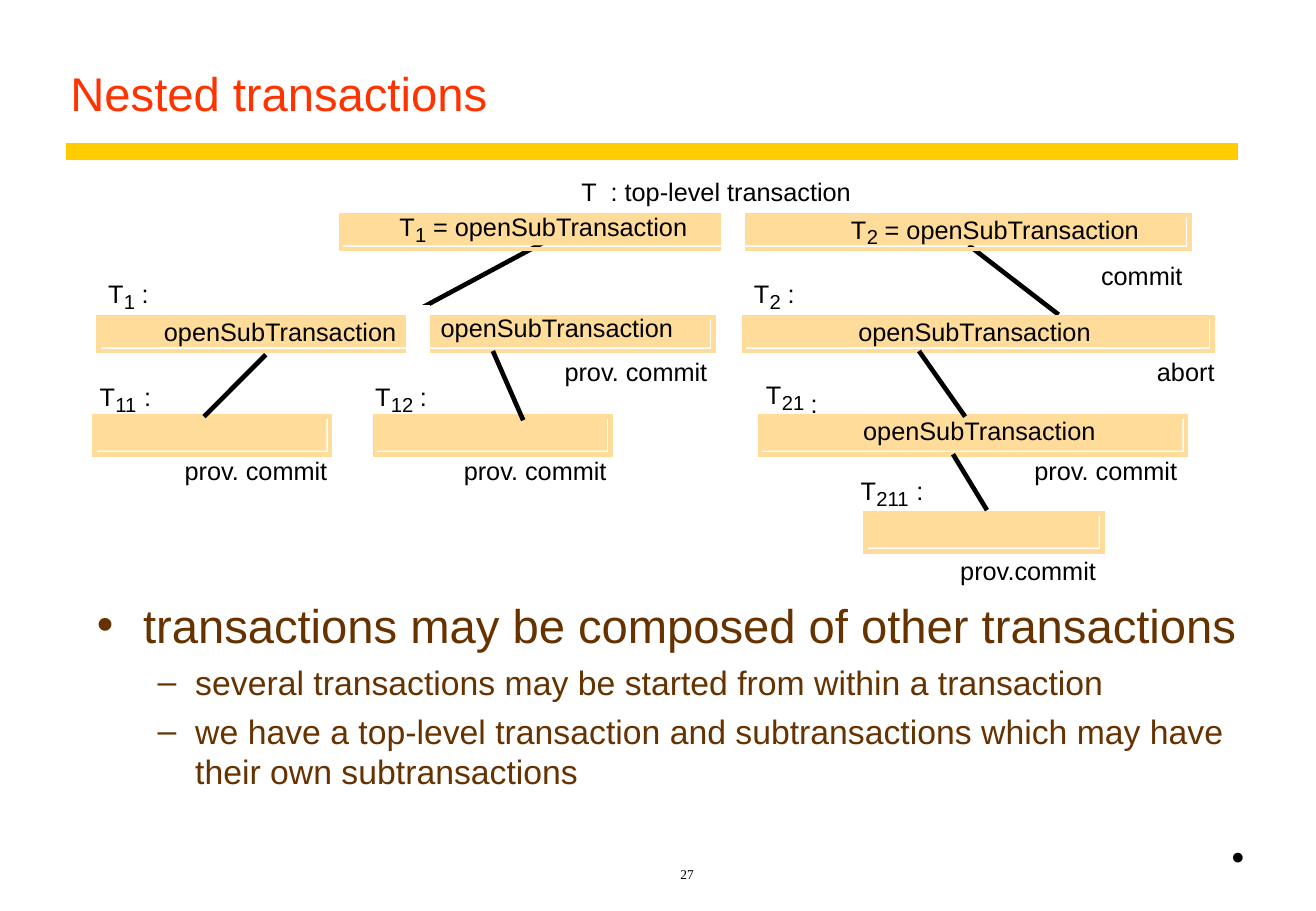
from lxml.etree import SubElement
from pptx import Presentation
from pptx.dml.color import RGBColor
from pptx.enum.shapes import MSO_CONNECTOR as Connector, MSO_SHAPE as Shape
from pptx.enum.text import MSO_ANCHOR as Anchor, MSO_AUTO_SIZE as AutoSize, PP_ALIGN as Align
from pptx.oxml.ns import qn
from pptx.util import Inches, Pt

RED = RGBColor(0xFF, 0x33, 0x00)
GOLD = RGBColor(0xFF, 0xCC, 0x00)
SAND = RGBColor(0xFF, 0xDC, 0x99)
BROWN = RGBColor(0x66, 0x33, 0x00)
BLACK = RGBColor(0x00, 0x00, 0x00)
WHITE = RGBColor(0xFF, 0xFF, 0xFF)

TITLE = "Nested transactions"
BULLETS = [
    (0, "transactions may be composed of other transactions"),
    (1, "several transactions may be started from within a transaction"),
    (1, "we have a top-level transaction and subtransactions which may have their own subtransactions"),
]
BULLET_STYLES = [("•", 0.38, 0.38, 28, 0), ("–", 0.81, 0.31, 20, 5)]

BARS = [
    (2.81, 1.77, 6.99, 0.28),
    (0.81, 2.61, 5.07, 0.28),
    (6.13, 2.61, 3.86, 0.28),
    (0.78, 3.43, 1.94, 0.31),
    (3.09, 3.43, 1.94, 0.31),
    (6.26, 3.43, 3.51, 0.31),
    (7.13, 4.23, 1.95, 0.31),
]
BAR_GAPS = [(5.94, 1.7), (3.35, 2.52)]
TOP_LINKS = [(4.47, 2, 3.37, 2.59), (7.98, 2.02, 8.72, 2.59)]
LOWER_LINKS = [
    (2.19, 2.92, 1.68, 3.43),
    (4.06, 2.89, 4.31, 3.46),
    (7.57, 2.89, 7.95, 3.43),
    (7.85, 3.74, 8.13, 4.2),
]

OPEN = "openSubTransaction"
COMMIT = "prov. commit"
SUBSCRIPT_LABELS = [
    (3.29, 1.74, "1", " = " + OPEN, 2.16, 0),
    (7.01, 1.76, "2", " = " + OPEN, 2.16, 0),
    (0.89, 2.29, "1", " :", 0.12, 0),
    (6.21, 2.29, "2", " :", 0.12, 0),
    (0.82, 3.14, "11", " :", 0.12, 0),
    (3.09, 3.14, "12", " :", 0.12, 0),
    (6.31, 3.12, "21", " :", 0.12, 0.08),
    (7.09, 3.91, "211", " :", 0.12, 0),
]
TEXTS = [
    (4.79, 1.45, 0.13, "T"),
    (5.03, 1.45, 1.98, ": top-level transaction"),
    (1.35, 2.6, 1.92, OPEN),
    (7.07, 2.6, 1.92, OPEN),
    (3.63, 2.57, 1.92, OPEN),
    (7.11, 3.42, 1.92, OPEN),
    (7.91, 4.57, 1.14, "prov.commit"),
    (8.52, 3.75, 1.19, COMMIT),
    (9.53, 2.93, 0.48, "abort"),
    (3.82, 3.75, 1.19, COMMIT),
    (1.52, 3.75, 1.19, COMMIT),
    (4.65, 2.93, 1.19, COMMIT),
    (9.07, 2.14, 0.67, "commit"),
]

presentation = Presentation()
presentation.slide_width = Inches(10.84)
presentation.slide_height = Inches(7.5)
slide = presentation.slides.add_slide(presentation.slide_layouts[5])


def set_font(font, size, color=BLACK, name="Arial"):
    font.name = name
    font.size = Pt(size)
    font.color.rgb = color


def add_line(x1, y1, x2, y2, color=BLACK, width=2.75):
    line = slide.shapes.add_connector(
        Connector.STRAIGHT, Inches(x1), Inches(y1), Inches(x2), Inches(y2))
    line.line.color.rgb = color
    line.line.width = Pt(width)
    SubElement(line._element.spPr, qn("a:effectLst"))


def add_rectangle(left, top, width, height, fill=None, line=None, line_width=2.75):
    shape = slide.shapes.add_shape(
        Shape.RECTANGLE, Inches(left), Inches(top), Inches(width), Inches(height))
    shape.shadow.inherit = False
    if fill is None:
        shape.fill.background()
    else:
        shape.fill.solid()
        shape.fill.fore_color.rgb = fill
    if line is None:
        shape.line.fill.background()
    else:
        shape.line.color.rgb = line
        shape.line.width = Pt(line_width)
        outline = shape._element.spPr.find(qn("a:ln"))
        SubElement(outline, qn("a:miter")).set("lim", "800000")


def add_text(left, top, width, text, size=15, height=0.25, name="Arial", inset=0):
    box = slide.shapes.add_textbox(
        Inches(left), Inches(top), Inches(width + 0.03), Inches(height))
    frame = box.text_frame
    frame.margin_left = frame.margin_right = Inches(inset)
    frame.margin_top = frame.margin_bottom = Inches(inset / 2)
    frame.word_wrap = False
    frame.auto_size = AutoSize.SHAPE_TO_FIT_TEXT
    frame.text = text
    paragraph = frame.paragraphs[0]
    paragraph.alignment = Align.LEFT
    set_font(paragraph.runs[0].font, size, name=name)
    return frame


def add_subscript_label(left, top, subscript, tail, tail_width, tail_drop):
    subscript_left = left + 0.13
    subscript_width = 0.09 * len(subscript)
    add_text(left, top, 0.13, "T")
    add_text(subscript_left, top + 0.09, subscript_width, subscript, 12, 0.2)
    add_text(subscript_left + subscript_width, top + tail_drop, tail_width, tail)


def add_bullets():
    box = slide.shapes.add_textbox(Inches(0.7), Inches(4.86), Inches(9.69), Inches(1.73))
    frame = box.text_frame
    frame.word_wrap = True
    for index, (level, text) in enumerate(BULLETS):
        mark, margin, hang, size, space = BULLET_STYLES[level]
        paragraph = frame.paragraphs[0] if index == 0 else frame.add_paragraph()
        paragraph.text = text
        paragraph.level = level
        if index:
            paragraph.space_before = Pt(space)
        properties = paragraph._p.get_or_add_pPr()
        properties.set("marL", str(Inches(margin)))
        properties.set("indent", str(-Inches(hang)))
        SubElement(properties, qn("a:buFont")).set("typeface", "Arial")
        SubElement(properties, qn("a:buChar")).set("char", mark)
        set_font(paragraph.runs[0].font, size, BROWN)


add_line(0.54, 1.25, 10.2, 1.25, GOLD, 10)

title = slide.shapes.title
title.left, title.top = Inches(0.48), Inches(0.25)
title.width, title.height = Inches(9.72), Inches(0.8)
title.text_frame.text = TITLE
title.text_frame.vertical_anchor = Anchor.BOTTOM
title_paragraph = title.text_frame.paragraphs[0]
title_paragraph.alignment = Align.LEFT
title_paragraph.line_spacing = 0.9
set_font(title_paragraph.runs[0].font, 28, RED)

add_bullets()

for link in TOP_LINKS:
    add_line(*link)
for left, top, width, height in BARS:
    add_rectangle(left, top, width - 0.03, height - 0.03, fill=SAND)
    add_rectangle(left, top, width, height, line=SAND)
for link in LOWER_LINKS:
    add_line(*link)
for label in SUBSCRIPT_LABELS:
    add_subscript_label(*label)
for text in TEXTS:
    add_text(*text)
for left, top in BAR_GAPS:
    add_rectangle(left, top, 0.19, 0.42, WHITE, WHITE, 0.75)

add_text(10.04, 6.79, 0.31, "•", 24, 0.5, "Times New Roman", 0.1)
page_number = add_text(2.35, 7, 6.59, "27", 8, 0.31, "Times New Roman", 0.1)
page_number.auto_size = AutoSize.NONE
page_number.word_wrap = True
page_number.vertical_anchor = Anchor.BOTTOM
page_number.paragraphs[0].alignment = Align.CENTER

presentation.save("out.pptx")
